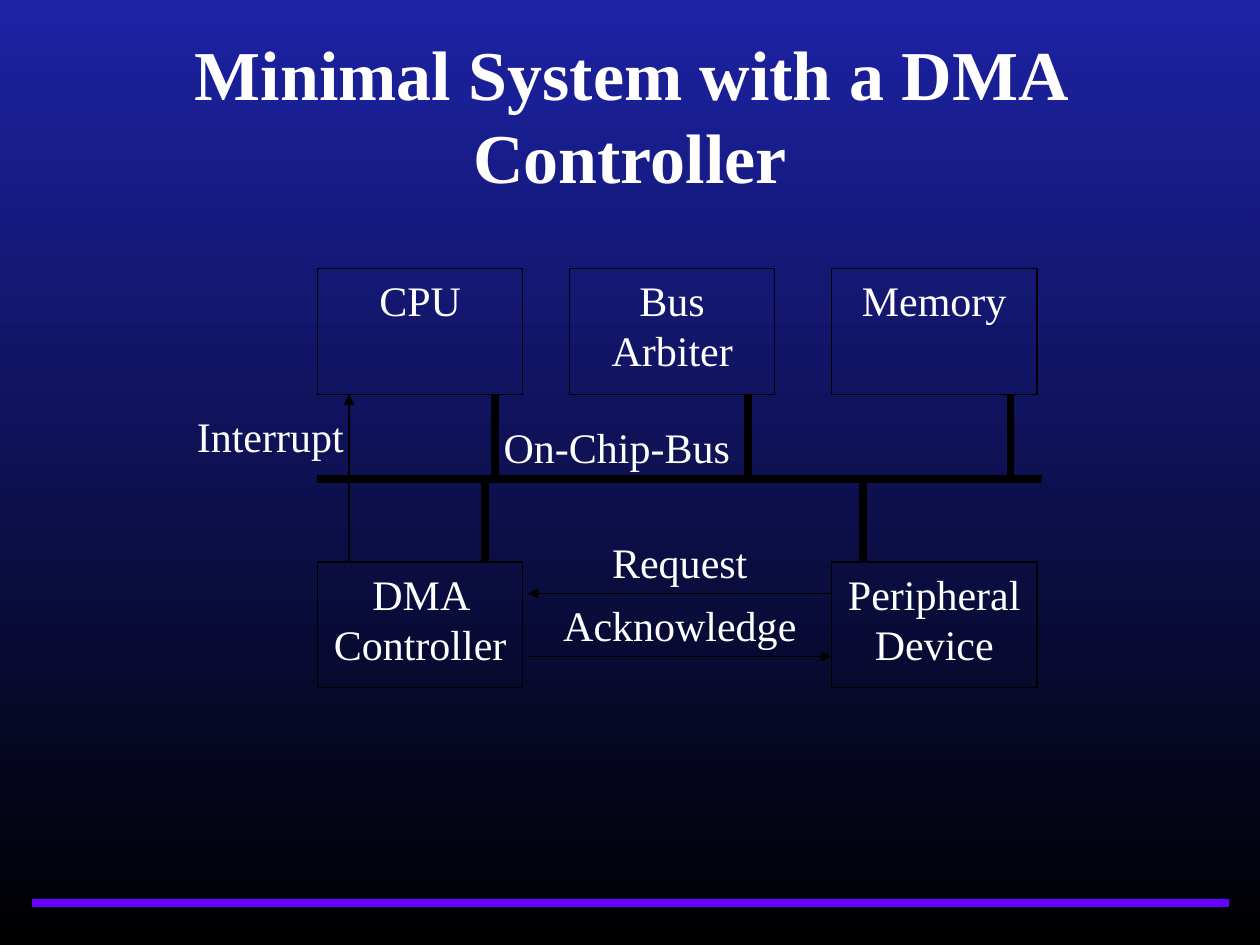
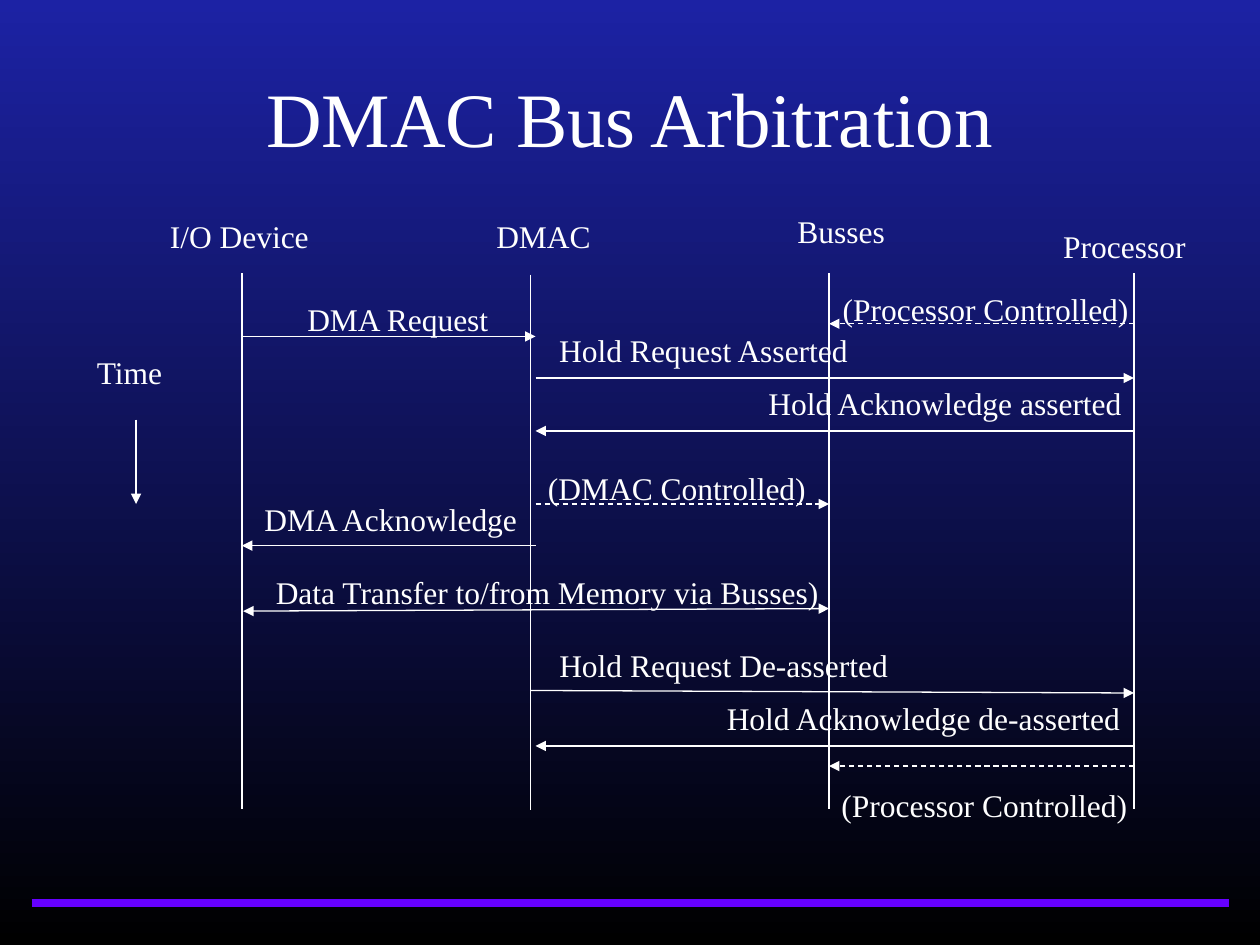
from lxml.etree import SubElement
from pptx import Presentation
from pptx.dml.color import RGBColor
from pptx.enum.dml import MSO_LINE
from pptx.enum.shapes import MSO_CONNECTOR, MSO_SHAPE
from pptx.enum.text import MSO_ANCHOR, MSO_AUTO_SIZE, PP_ALIGN
from pptx.oxml.ns import qn
from pptx.util import Inches, Pt

FONT = "Times New Roman"
WHITE, BLACK, VIOLET, NAVY = "FFFFFF", "000000", "6600FF", "1C22A4"
THIN, THICK = 0.75, 4.5

COLS, ROWS = (2.52, 4.52, 6.6), (2.13, 4.46)
BOX_W, BOX_H = 1.63, 1
BUS_Y, BUS_X = 3.8, (2.52, 8.27)
BLOCKS = [
    ("CPU", 0, 0),
    ("Bus\vArbiter", 1, 0),
    ("Memory", 2, 0),
    ("DMA Controller", 0, 1),
    ("Peripheral\nDevice", 2, 1),
]
TOP_TAPS = (3.93, 5.94, 8.02)
BOTTOM_TAPS = (3.85, 6.85)
SIGNALS = [
    ((2.77, 4.46), (2.77, 3.13)),
    ((6.6, 4.71), (4.19, 4.71)),
    ((4.19, 5.21), (6.6, 5.21)),
]
SIGNAL_LABELS = [
    ("Interrupt", 1.02, 3.21),
    ("On-Chip-Bus", 3.77, 3.3),
    ("Request", 4.27, 4.21),
    ("Acknowledge", 4.27, 4.71),
]

IO, DMAC, DMAC_EDGE, BUSSES, CPU = 1.92, 4.21, 4.25, 6.58, 9
LIFELINES = [(IO, 2.17), (DMAC, 2.18), (BUSSES, 2.17), (CPU, 2.17)]
LIFE_H = 4.25
MESSAGES = [
    ((IO, 2.67), (DMAC_EDGE, 2.67), {}),
    ((CPU, 2.57), (BUSSES, 2.57), {"dash": True}),
    ((DMAC_EDGE, 3), (CPU, 3), {}),
    ((CPU, 3.42), (DMAC_EDGE, 3.42), {}),
    ((DMAC_EDGE, 4), (BUSSES, 4), {"dash": True}),
    ((DMAC_EDGE, 4.33), (IO, 4.33), {}),
    ((IO + 0.01, 4.85), (BUSSES, 4.83), {"heads": ("headEnd", "tailEnd")}),
    ((DMAC, 5.48), (CPU, 5.5), {}),
    ((CPU, 5.92), (DMAC_EDGE, 5.92), {}),
    ((CPU, 6.08), (BUSSES, 6.08), {"dash": True}),
    ((1.08, 3.33), (1.08, 4), {}),
]
TIMING_LABELS = [
    ("I/O Device", 1.25, 1.67, 1.4),
    ("DMAC", 3.84, 1.67, 1.05),
    ("Busses", 6.23, 1.63, 1),
    ("Processor", 8.34, 1.75, 1.27),
    ("Time", 0.67, 2.75, 0.83),
    ("DMA Request", 2.34, 2.33, 1.75),
    ("(Processor Controlled)", 6.59, 2.25, 2.57),
    ("Hold Request Asserted", 4.34, 2.58, 2.6),
    ("Hold Acknowledge asserted", 6, 3, 3.18),
    ("(DMAC Controlled)", 4.25, 3.67, 2.47),
    ("DMA Acknowledge", 2, 3.92, 2.33),
    ("Data Transfer to/from Memory via Busses)", 2.09, 4.5, 4.62),
    ("Hold Request De-asserted", 4.34, 5.08, 2.91),
    ("Hold Acknowledge de-asserted", 5.67, 5.5, 3.5),
    ("(Processor Controlled)", 6.58, 6.19, 2.57),
]


def rgb(code):
    """Turn a hex string into a colour."""
    return RGBColor.from_string(code)


def write(sp, text, size, align=PP_ALIGN.CENTER, anchor=MSO_ANCHOR.TOP, bold=False):
    """Fill a shape with white text in the deck's font."""
    tf = sp.text_frame
    tf.text = text
    frame = {"word_wrap": True, "auto_size": MSO_AUTO_SIZE.NONE, "vertical_anchor": anchor}
    for name, value in frame.items():
        setattr(tf, name, value)
    font = {"name": FONT, "size": Pt(size), "bold": bold}
    for p in tf.paragraphs:
        p.alignment = align
        for r in p.runs:
            for name, value in font.items():
                setattr(r.font, name, value)
            r.font.color.rgb = rgb(WHITE)


def add_line(s, start, end, color, width=THIN, heads=(), dash=False):
    """Draw a straight line with optional arrowheads."""
    c = s.shapes.add_connector(MSO_CONNECTOR.STRAIGHT, *map(Inches, start + end))
    c.line.color.rgb = rgb(color)
    c.line.width = Pt(width)
    if dash:
        c.line.dash_style = MSO_LINE.DASH
    for head in heads:
        SubElement(c.get_or_add_ln(), qn(f"a:{head}"), type="triangle")
    SubElement(c.element.spPr, qn("a:effectLst"))
    return c


def add_label(s, text, x, y, w, h, size, **style):
    """Place a text box."""
    write(s.shapes.add_textbox(*map(Inches, (x, y, w, h))), text, size, **style)


def add_block(s, text, col, row):
    """Place an outlined block on the grid."""
    area = map(Inches, (COLS[col], ROWS[row], BOX_W, BOX_H))
    sp = s.shapes.add_shape(MSO_SHAPE.RECTANGLE, *area)
    sp.shadow.inherit = False
    sp.fill.background()
    sp.line.color.rgb = rgb(BLACK)
    sp.line.width = Pt(THIN)
    write(sp, text, 24)


def add_slide(prs, title, area, size, bold=False):
    """Add a slide with its title placed and styled."""
    s = prs.slides.add_slide(prs.slide_layouts[5])
    sp = s.shapes.title
    for name, value in zip(("left", "top", "width", "height"), area):
        setattr(sp, name, Inches(value))
    write(sp, title, size, anchor=MSO_ANCHOR.MIDDLE, bold=bold)
    return s


def style_master(prs, s):
    """Give the master its gradient and footer rule."""
    master = prs.slide_master
    fill = master.background.fill
    fill.gradient()
    fill.gradient_angle = 270
    for stop, color in zip(fill.gradient_stops, (NAVY, BLACK)):
        stop.color.rgb = rgb(color)
    rule = add_line(s, (0.25, 7.17), (9.75, 7.17), VIOLET, THICK)
    master.shapes.element.append(rule.element)


def draw_system(s):
    """Draw the blocks, the bus and the signals."""
    add_line(s, (BUS_X[0], BUS_Y), (BUS_X[1], BUS_Y), BLACK, THICK)
    for taps, edge in ((TOP_TAPS, ROWS[0] + BOX_H), (BOTTOM_TAPS, ROWS[1])):
        for x in taps:
            add_line(s, (x, BUS_Y), (x, edge), BLACK, THICK)
    for block in BLOCKS:
        add_block(s, *block)
    for start, end in SIGNALS:
        add_line(s, start, end, BLACK, heads=("tailEnd",))
    for text, x, y in SIGNAL_LABELS:
        add_label(s, text, x, y, 2.25, 0.5, 24)


def draw_timing(s):
    """Draw the lifelines and the messages between them."""
    for x, y in LIFELINES:
        add_line(s, (x, y), (x, y + LIFE_H), WHITE)
    for start, end, style in MESSAGES:
        add_line(s, start, end, WHITE, **{"heads": ("tailEnd",), **style})
    for text, x, y, w in TIMING_LABELS:
        add_label(s, text, x, y, w, 0.4, 18, align=PP_ALIGN.LEFT)


def main():
    """Build and save the deck."""
    prs = Presentation()
    prs.slide_width, prs.slide_height = Inches(10), Inches(7.5)
    s = add_slide(prs, "Minimal System with a DMA Controller", (0.75, 0.28, 8.5, 1.25), 40, True)
    style_master(prs, s)
    draw_system(s)
    draw_timing(add_slide(prs, "DMAC Bus Arbitration", (0.5, 0.3, 9, 1.25), 44))
    prs.save("out.pptx")


if __name__ == "__main__":
    main()
